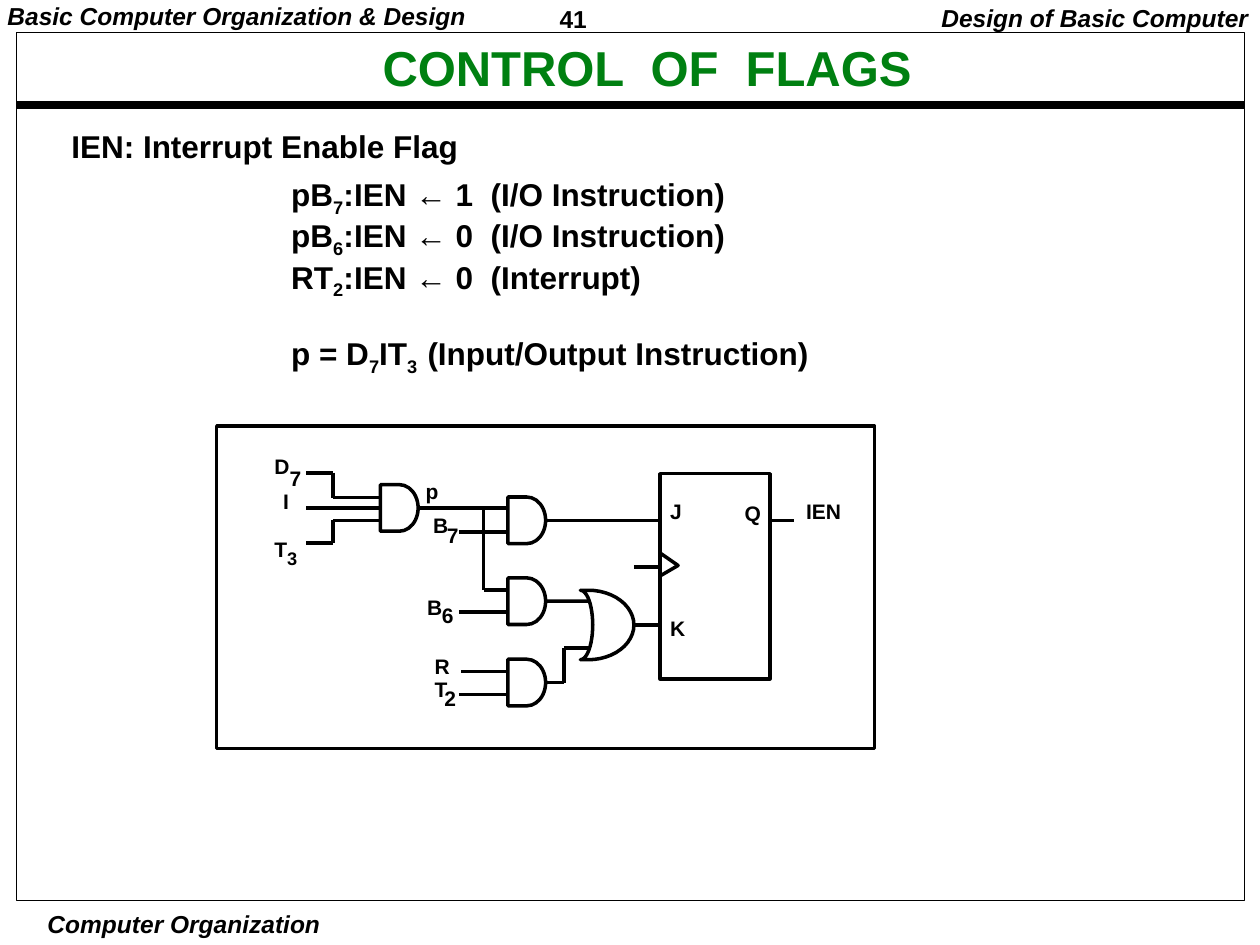
"""Build the slide on control of the interrupt enable flag."""
from dataclasses import dataclass
from itertools import pairwise
from math import cos, pi, sin

from lxml import etree
from pptx import Presentation
from pptx.dml.color import RGBColor
from pptx.enum.shapes import MSO_CONNECTOR, MSO_SHAPE
from pptx.enum.text import MSO_ANCHOR, MSO_AUTO_SIZE, PP_ALIGN
from pptx.oxml.ns import qn
from pptx.util import Cm, Pt

STRAIGHT = MSO_CONNECTOR.STRAIGHT
RECTANGLE, AND_GATE = MSO_SHAPE.RECTANGLE, MSO_SHAPE.FLOWCHART_DELAY
TOP, NO_AUTOFIT = MSO_ANCHOR.TOP, MSO_AUTO_SIZE.NONE
LEFT, CENTER, RIGHT = PP_ALIGN.LEFT, PP_ALIGN.CENTER, PP_ALIGN.RIGHT
LEFT_SIDE, RIGHT_SIDE = 1, 3


@dataclass(frozen=True)
class Theme:
    """Colours, font, type sizes and line widths."""
    font: str = "Arial"
    ink: RGBColor = RGBColor(0x00, 0x00, 0x00)
    heading: RGBColor = RGBColor(0x00, 0x80, 0x11)
    title_size: int = 28
    body_size: int = 18
    header_size: int = 14
    label_size: int = 12
    thin: float = 0.5
    wire: float = 2
    rule: float = 4.5


class SlideBuilder:
    """Draw styled elements on one slide, with lengths in centimetres."""

    def __init__(self, slide, theme):
        self.slide, self.shapes, self.theme = slide, slide.shapes, theme

    def set_frame(self, frame, margins, wrap):
        """Set the margins and wrapping of a text frame."""
        frame.auto_size = NO_AUTOFIT
        frame.word_wrap = wrap
        frame.margin_left = frame.margin_right = Cm(margins[0])
        frame.margin_top = frame.margin_bottom = Cm(margins[1])

    def fill_paragraph(self, paragraph, text, size, color=None, italic=False,
                       align=LEFT, spacing=0.9, subscript_size=None):
        """Fill a paragraph; underscores enclose subscripts."""
        paragraph.alignment = align
        paragraph.line_spacing = spacing
        paragraph.space_before = Pt(0)
        font = paragraph.font
        font.name, font.size = self.theme.font, Pt(size)
        font.bold, font.italic = True, italic
        font.color.rgb = color or self.theme.ink
        for index, piece in enumerate(text.split("_")):
            if not piece:
                continue
            run = paragraph.add_run()
            run.text = piece
            if index % 2:
                run._r.get_or_add_rPr().set("baseline", "-25000")
                if subscript_size:
                    run.font.size = Pt(subscript_size)

    def place(self, shape, left, top, width, height):
        """Move and size a placeholder."""
        shape.left, shape.top = Cm(left), Cm(top)
        shape.width, shape.height = Cm(width), Cm(height)

    def title(self, text, *box):
        """Fill in the slide title."""
        shape = self.shapes.title
        self.place(shape, *box)
        self.set_frame(shape.text_frame, (0.18, 0.08), True)
        self.fill_paragraph(shape.text_frame.paragraphs[0], text, self.theme.title_size,
                            self.theme.heading, align=CENTER, spacing=0.87)

    def formulas(self, lines, tab, *box):
        """List unbulleted statements, the last one set apart."""
        shape = self.slide.placeholders[1]
        self.place(shape, *box)
        frame = shape.text_frame
        self.set_frame(frame, (0.18, 0.08), False)
        frame.vertical_anchor = TOP
        for index, line in enumerate(lines):
            paragraph = frame.add_paragraph() if index else frame.paragraphs[0]
            properties = paragraph._p.get_or_add_pPr()
            properties.set("marL", "0")
            properties.set("indent", "0")
            etree.SubElement(properties, qn("a:buNone"))
            tabs = etree.SubElement(properties, qn("a:tabLst"))
            etree.SubElement(tabs, qn("a:tab"), pos=str(Cm(tab)), algn="l")
            self.fill_paragraph(paragraph, line, self.theme.body_size, spacing=0.96)
        paragraph.space_before = Pt(20)

    def text(self, text, left, top, width, height, size=None,
             margins=(0.25, 0.13), **style):
        """Add a one-line text box."""
        box = self.shapes.add_textbox(Cm(left), Cm(top), Cm(width), Cm(height))
        self.set_frame(box.text_frame, margins, False)
        self.fill_paragraph(box.text_frame.paragraphs[0], text,
                            size or self.theme.label_size, **style)

    def outline(self, shape, weight):
        """Give a shape a plain outline without fill or shadow."""
        shape.shadow.inherit = False
        shape.fill.background()
        shape.line.color.rgb = self.theme.ink
        shape.line.width = Pt(weight)
        return shape

    def preset(self, kind, left, top, width, height, weight=None):
        """Add an outlined preset shape."""
        shape = self.shapes.add_shape(kind, Cm(left), Cm(top), Cm(width), Cm(height))
        return self.outline(shape, weight or self.theme.wire)

    def freeform(self, points, close):
        """Add an outline through the given points."""
        points = [(Cm(x), Cm(y)) for x, y in points]
        builder = self.shapes.build_freeform(*points[0])
        builder.add_line_segments(points[1:], close=close)
        return self.outline(builder.convert_to_shape(), self.theme.wire)

    def wire(self, *points, source=None, target=None, weight=None):
        """Add connectors from point to point, joined to shapes at the ends."""
        connectors = []
        for start, end in pairwise(points):
            connector = self.shapes.add_connector(STRAIGHT, *map(Cm, start + end))
            connector.line.color.rgb = self.theme.ink
            connector.line.width = Pt(weight or self.theme.wire)
            etree.SubElement(connector._element.spPr, qn("a:effectLst"))
            connectors.append(connector)
        if source:
            connectors[0].begin_connect(source, RIGHT_SIDE)
        if target:
            connectors[-1].end_connect(target, LEFT_SIDE)


def half_ellipse(x, y, radius_x, radius_y, steps=24):
    """Return points of the right half of an ellipse, from top to bottom."""
    angles = [pi * step / steps - pi / 2 for step in range(steps + 1)]
    return [(x + radius_x * cos(a), y + radius_y * sin(a)) for a in angles]


def draw_page(page):
    """Draw the headers, frame, title and statements."""
    theme = page.theme
    header = {"size": theme.header_size, "italic": True}
    page.text("41", 11.1, 0, 2.74, 0.74, theme.header_size, (0.18, 0.08), spacing=1.01)
    page.text("Basic Computer Organization & Design", -0.03, 0, 9.6, 0.69,
              margins=(0.18, 0.08), **header)
    page.text("Computer Organization", 0.89, 18.29, 5.64, 0.66,
              margins=(0.08, 0.03), align=CENTER, spacing=1.0, **header)
    page.text("Design of Basic Computer", 18.72, 0, 6.7, 0.79, align=RIGHT, **header)
    page.wire((0.33, 2.11), (25.07, 2.11), weight=theme.rule)
    page.preset(RECTANGLE, 0.33, 0.66, 24.76, 17.5, theme.thin)
    page.title("CONTROL  OF  FLAGS", 7.52, 0.84, 11.05, 1.17)
    page.text("IEN: Interrupt Enable Flag", 1.19, 2.51, 8.31, 0.94, theme.body_size)
    page.formulas(["pB_7_:\tIEN ← 1  (I/O Instruction)",
                   "pB_6_:\tIEN ← 0  (I/O Instruction)",
                   "RT_2_:\tIEN ← 0  (Interrupt)",
                   "p = D_7_IT_3  _(Input/Output Instruction)"],
                  1.96, 5.69, 3.45, 10.8, 4.19)


def draw_circuit(page):
    """Draw the gates, the flip-flop, their wires and labels."""
    page.preset(RECTANGLE, 4.37, 8.59, 13.26, 6.5)
    page.preset(RECTANGLE, 13.31, 9.55, 2.21, 4.14)
    page.freeform([(13.31, 11.15), (13.67, 11.4), (13.31, 11.61)], close=False)
    gate_p, gate_j, gate_b6, gate_rt = [
        page.preset(AND_GATE, left, middle - 0.47, 0.76, 0.94)
        for left, middle in [(7.67, 10.24), (10.24, 10.49), (10.24, 12.12), (10.24, 13.76)]]
    front = half_ellipse(11.86, 12.6, 0.92, 0.7)
    back = half_ellipse(11.7, 12.6, 0.25, 0.7)
    page.freeform(front + back[::-1], close=True)

    page.wire((6.17, 9.53), (6.71, 9.53), (6.71, 10.03), (7.67, 10.03))
    page.wire((6.17, 10.24), (7.67, 10.24), target=gate_p)
    page.wire((6.17, 10.95), (6.71, 10.95), (6.71, 10.49), (7.67, 10.49))
    page.wire((8.43, 10.24), (10.24, 10.24), source=gate_p)
    page.wire((9.75, 10.24), (9.75, 11.89), (10.24, 11.89))
    for left, y in [(9.25, 10.72), (9.25, 12.34), (9.3, 13.54), (9.25, 14)]:
        page.wire((left, y), (10.24, y))
    page.wire((11, 10.49), (13.31, 10.49), source=gate_j)
    page.wire((11, 12.12), (11.89, 12.12), source=gate_b6)
    page.wire((11, 13.76), (11.37, 13.76), (11.37, 13.06), (11.89, 13.06), source=gate_rt)
    for left, right, y in [(12.78, 13.31, 12.6), (12.78, 13.31, 11.43), (15.52, 16, 10.49)]:
        page.wire((left, y), (right, y))

    for text, left, top, width in [
            ("D", 5.28, 9.07, 0.81), ("7", 5.59, 9.32, 0.74), ("I", 5.46, 9.78, 0.61),
            ("p", 8.33, 9.58, 0.76), ("B", 8.48, 10.26, 0.81), ("7", 8.76, 10.46, 0.74),
            ("B", 8.36, 11.91, 0.81), ("6", 8.66, 12.07, 0.74), ("R", 8.51, 13.11, 0.81),
            ("T", 8.51, 13.56, 0.76), ("2", 8.71, 13.74, 0.74), ("J", 13.26, 9.98, 0.74),
            ("K", 13.26, 12.34, 0.81), ("Q", 14.76, 10.01, 0.84), ("IEN", 16, 9.98, 1.22)]:
        page.text(text, left, top, width, 0.71)
    page.text("T_3_", 5.28, 10.49, 0.97, 1.02, subscript_size=page.theme.body_size)


def main():
    """Create and save the presentation."""
    presentation = Presentation()
    presentation.slide_width, presentation.slide_height = Cm(25.4), Cm(19.05)
    slide = presentation.slides.add_slide(presentation.slide_layouts[1])
    page = SlideBuilder(slide, Theme())
    draw_page(page)
    draw_circuit(page)
    presentation.save("out.pptx")


if __name__ == "__main__":
    main()
